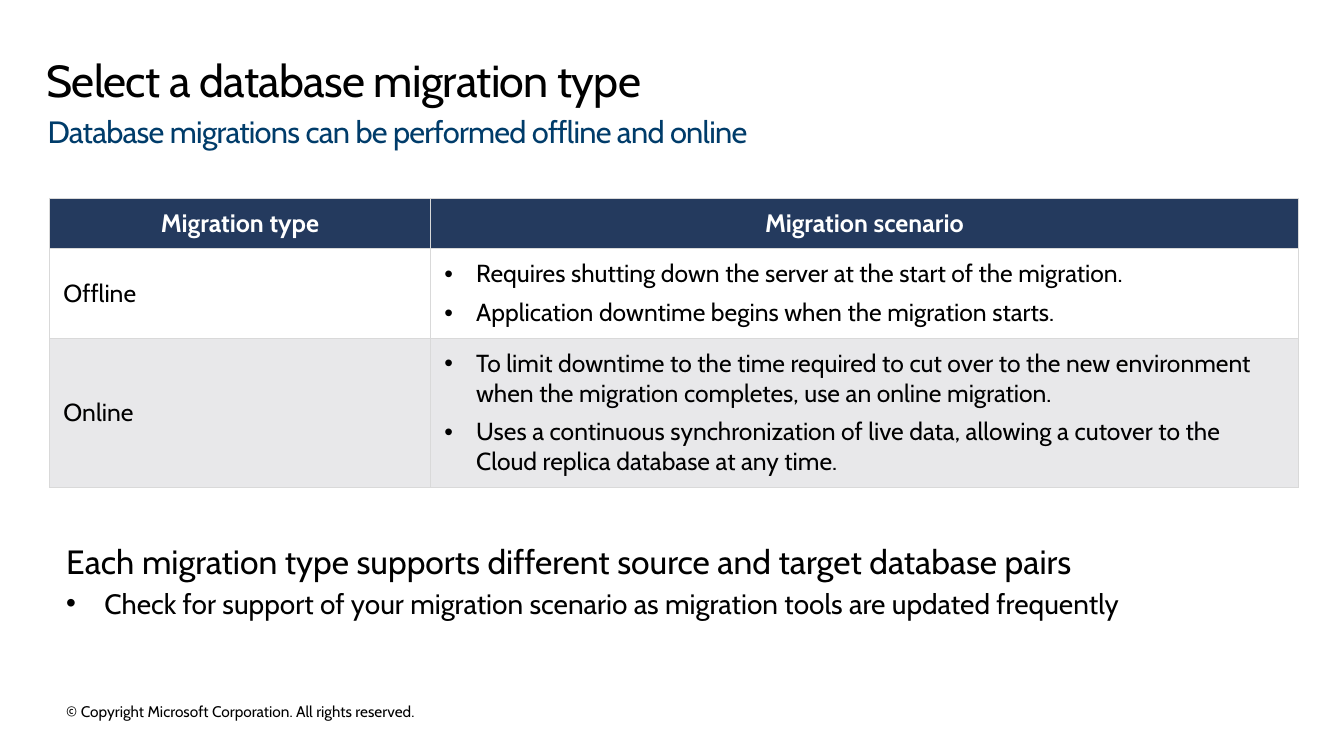
from lxml import etree
from pptx import Presentation
from pptx.dml.color import RGBColor
from pptx.enum.text import MSO_ANCHOR, PP_ALIGN
from pptx.oxml.ns import qn
from pptx.util import Cm, Pt

BLACK = RGBColor(0x00, 0x00, 0x00)
WHITE = RGBColor(0xFF, 0xFF, 0xFF)
BLUE = RGBColor(0x00, 0x3C, 0x6A)
NAVY = RGBColor(0x24, 0x3A, 0x5E)
PALE = RGBColor(0xE8, 0xE8, 0xEA)
GREY = RGBColor(0xD9, 0xD9, 0xD9)
CENTER = PP_ALIGN.CENTER
LEFT = PP_ALIGN.LEFT
MIDDLE = MSO_ANCHOR.MIDDLE
TOP = MSO_ANCHOR.TOP

HEADINGS = ["Migration type", "Migration scenario"]
MIGRATIONS = [
    ("Offline", ["Requires shutting down the server at the start of the migration.",
                 "Application downtime begins when the migration starts."]),
    ("Online", ["To limit downtime to the time required to cut over to the new "
                "environment when the migration completes, use an online migration.",
                "Uses a continuous synchronization of live data, allowing a cutover "
                "to the Cloud replica database at any time."]),
]
COLUMN_WIDTHS = [9.6, 21.87]
ROW_HEIGHTS = [1.26, 2.26, 3.76]


class SlideBuilder:
    font = "Cabin"

    def __init__(self, slide):
        self.slide = slide

    def style(self, para, size, color=BLACK, bold=False, tracking=None):
        """Format every span of a paragraph; tracking is in points."""
        for span in para.runs:
            span.font.name = self.font
            span.font.size = Pt(size)
            span.font.bold = bold
            span.font.color.rgb = color
            if tracking is not None:
                span.font._element.set("spc", str(round(tracking * 100)))

    def bullet(self, para, indent):
        properties = para._p.get_or_add_pPr()
        properties.set("marL", str(Cm(indent)))
        properties.set("indent", str(-Cm(indent)))
        etree.SubElement(properties, qn("a:buFont"), typeface="Arial")
        etree.SubElement(properties, qn("a:buChar"), char="•")

    def text(self, left, top, width, height, lines, margins, spacing=0.9):
        """Add a box; lines are (text, bullet indent, style) and margins (left, top)."""
        box = self.slide.shapes.add_textbox(Cm(left), Cm(top), Cm(width), Cm(height))
        frame = box.text_frame
        frame.word_wrap = True
        frame.margin_left, frame.margin_right = Cm(margins[0]), Cm(0)
        frame.margin_top = frame.margin_bottom = Cm(margins[1])
        frame.text = "\n".join(words for words, _, _ in lines)
        for para, (_, indent, style) in zip(frame.paragraphs, lines):
            if indent:
                self.bullet(para, indent)
            para.line_spacing = spacing
            para.space_after = Pt(6)
            self.style(para, **style)

    def borders(self, cell):
        properties = cell._tc.get_or_add_tcPr()
        for side in ("a:lnL", "a:lnR", "a:lnT", "a:lnB"):
            line = etree.SubElement(properties, qn(side), w=str(Pt(1)))
            fill = etree.SubElement(line, qn("a:solidFill"))
            etree.SubElement(fill, qn("a:srgbClr"), val=str(GREY))

    def cell(self, cell, lines, fill, side_margin, bulleted=False, align=LEFT,
             anchor=MIDDLE, **style):
        self.borders(cell)
        if fill is None:
            cell.fill.background()
        else:
            cell.fill.solid()
            cell.fill.fore_color.rgb = fill
        cell.margin_left = cell.margin_right = Cm(side_margin)
        cell.margin_top = cell.margin_bottom = Cm(0.25)
        cell.vertical_anchor = anchor
        cell.text_frame.text = "\n".join(lines)
        for para in cell.text_frame.paragraphs:
            if bulleted:
                self.bullet(para, 0.8)
                para.space_after = Pt(6)
            para.alignment = align
            self.style(para, **style)

    def migration_table(self, left, top):
        table = self.slide.shapes.add_table(
            len(ROW_HEIGHTS), len(COLUMN_WIDTHS), Cm(left), Cm(top),
            Cm(sum(COLUMN_WIDTHS)), Cm(sum(ROW_HEIGHTS))).table
        table.first_row = table.horz_banding = False
        for column, width in zip(table.columns, COLUMN_WIDTHS):
            column.width = Cm(width)
        for row, height in zip(table.rows, ROW_HEIGHTS):
            row.height = Cm(height)
        for index, heading in enumerate(HEADINGS):
            self.cell(table.cell(0, index), [heading], NAVY, 0.25, align=CENTER,
                      anchor=TOP, size=18, color=WHITE, bold=True)
        for index, (kind, scenarios) in enumerate(MIGRATIONS, 1):
            fill = None if index % 2 else PALE
            self.cell(table.cell(index, 0), [kind], fill, 0.35, size=17.6)
            self.cell(table.cell(index, 1), scenarios, fill, 0.35, bulleted=True, size=17.6)


def main():
    deck = Presentation()
    deck.slide_width, deck.slide_height = Cm(33.87), Cm(19.05)
    page = SlideBuilder(deck.slides.add_slide(deck.slide_layouts[6]))

    page.text(1.17, 17.53, 10.54, 1.24,
              [("© Copyright Microsoft Corporation. All rights reserved.", 0, {"size": 11})],
              (0.5, 0.4))
    page.text(1.17, 1.22, 31.5, 1.78,
              [("Select a database migration type", 0, {"size": 32, "tracking": -0.5})],
              (0, 0.25))
    page.text(1.2, 2.72, 31.5, 1.2,
              [("Database migrations can be performed offline and online", 0,
                {"size": 22, "color": BLUE, "tracking": -0.5})],
              (0, 0.13), spacing=1.0)
    page.migration_table(1.25, 5)
    page.text(1.17, 13.34, 29.64, 2.72,
              [("Each migration type supports different source and target database pairs",
                0, {"size": 24}),
               ("Check for support of your migration scenario as migration tools are "
                "updated frequently", 0.96, {"size": 20})],
              (0.5, 0.4))
    deck.save("out.pptx")


if __name__ == "__main__":
    main()
